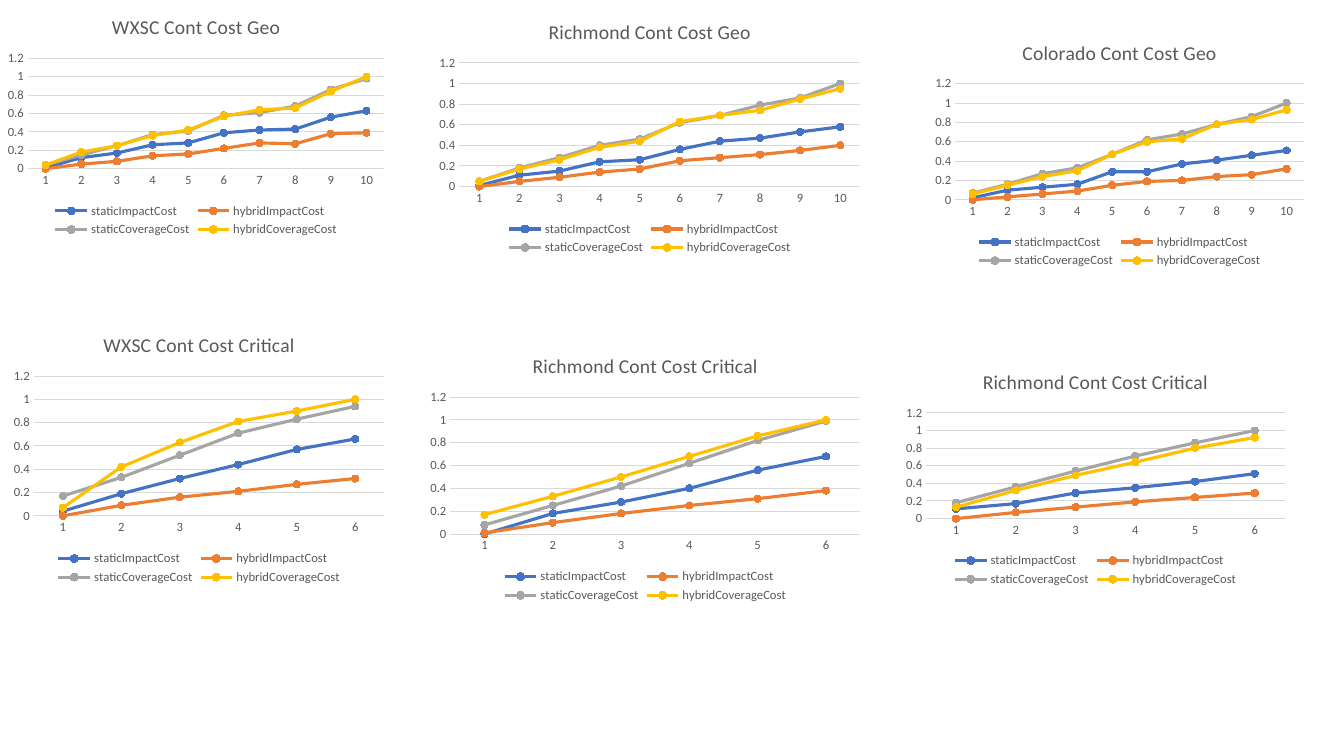
from pptx import Presentation
from pptx.chart.data import CategoryChartData
from pptx.dml.color import RGBColor
from pptx.enum import chart as ch
from pptx.util import Inches, Pt

BLACK = RGBColor(0x00, 0x00, 0x00)
GRAY_TEXT = RGBColor(0x59, 0x59, 0x59)
GRID_GRAY = RGBColor(0xD9, 0xD9, 0xD9)
BLUE = RGBColor(0x44, 0x72, 0xC4)
ORANGE = RGBColor(0xED, 0x7D, 0x31)
GRAY = RGBColor(0xA5, 0xA5, 0xA5)
GOLD = RGBColor(0xFF, 0xC0, 0x00)

SERIES = [
    ("staticImpactCost", BLUE),
    ("hybridImpactCost", ORANGE),
    ("staticCoverageCost", GRAY),
    ("hybridCoverageCost", GOLD),
]

# Title, (left, top, width, height), one row of values per series
COST_CHARTS = [
    ("WXSC Cont Cost Geo", (0, 0, 3.89, 2.39), [
        [0.01, 0.12, 0.17, 0.26, 0.28, 0.39, 0.42, 0.43, 0.56, 0.63],
        [0, 0.05, 0.08, 0.14, 0.16, 0.22, 0.28, 0.27, 0.38, 0.39],
        [0.04, 0.15, 0.25, 0.37, 0.41, 0.58, 0.61, 0.68, 0.86, 0.98],
        [0.04, 0.18, 0.25, 0.36, 0.42, 0.57, 0.64, 0.66, 0.84, 1],
    ]),
    ("WXSC Cont Cost Critical", (0.06, 3.14, 3.83, 2.7), [
        [0.04, 0.19, 0.32, 0.44, 0.57, 0.66],
        [0, 0.09, 0.16, 0.21, 0.27, 0.32],
        [0.17, 0.33, 0.52, 0.71, 0.83, 0.94],
        [0.07, 0.42, 0.63, 0.81, 0.9, 1],
    ]),
    ("Richmond Cont Cost Geo", (4.27, 0.04, 4.35, 2.53), [
        [0.01, 0.11, 0.15, 0.24, 0.26, 0.36, 0.44, 0.47, 0.53, 0.58],
        [0, 0.05, 0.09, 0.14, 0.17, 0.25, 0.28, 0.31, 0.35, 0.4],
        [0.05, 0.18, 0.28, 0.4, 0.46, 0.62, 0.69, 0.79, 0.86, 1],
        [0.05, 0.17, 0.26, 0.38, 0.44, 0.63, 0.69, 0.74, 0.85, 0.95],
    ]),
    ("Richmond Cont Cost Critical", (4.18, 3.35, 4.44, 2.67), [
        [0, 0.18, 0.28, 0.4, 0.56, 0.68],
        [0.01, 0.1, 0.18, 0.25, 0.31, 0.38],
        [0.08, 0.25, 0.42, 0.62, 0.82, 0.99],
        [0.17, 0.33, 0.5, 0.68, 0.86, 1],
    ]),
    ("Richmond Cont Cost Critical", (8.91, 3.52, 3.91, 2.34), [
        [0.11, 0.17, 0.29, 0.35, 0.42, 0.51],
        [0, 0.07, 0.13, 0.19, 0.24, 0.29],
        [0.18, 0.36, 0.54, 0.71, 0.86, 1],
        [0.13, 0.32, 0.49, 0.64, 0.8, 0.92],
    ]),
    ("Colorado Cont Cost Geo", (9.2, 0.25, 3.81, 2.45), [
        [0.02, 0.1, 0.13, 0.16, 0.29, 0.29, 0.37, 0.41, 0.46, 0.51],
        [0, 0.03, 0.06, 0.09, 0.15, 0.19, 0.2, 0.24, 0.26, 0.32],
        [0.07, 0.16, 0.27, 0.33, 0.47, 0.62, 0.68, 0.78, 0.86, 1],
        [0.06, 0.15, 0.24, 0.3, 0.47, 0.6, 0.63, 0.78, 0.83, 0.93],
    ]),
]


def set_attrs(obj, **values):
    for name, value in values.items():
        setattr(obj, name, value)


def format_font(font, size, color=GRAY_TEXT):
    set_attrs(font, name="Calibri", size=Pt(size), bold=False)
    font.color.rgb = color


def format_line(line, color, width):
    line.color.rgb = color
    line.width = Pt(width)


def format_title(chart, title):
    chart.has_title = True
    tf = chart.chart_title.text_frame
    tf.text = title
    format_font(tf.paragraphs[0].runs[0].font, 14)
    chart.chart_title.include_in_layout = False


def format_axes(chart):
    cat, val = chart.category_axis, chart.value_axis
    for axis in (cat, val):
        set_attrs(axis, major_tick_mark=ch.XL_TICK_MARK.NONE,
                  minor_tick_mark=ch.XL_TICK_MARK.NONE)
        format_font(axis.tick_labels.font, 9)
    format_line(cat.format.line, GRID_GRAY, 0.75)
    set_attrs(val, minimum_scale=0, maximum_scale=1.2, major_unit=0.2,
              has_major_gridlines=True)
    format_line(val.major_gridlines.format.line, GRID_GRAY, 0.75)
    val.format.line.fill.background()


def format_legend(chart):
    chart.has_legend = True
    set_attrs(chart.legend, position=ch.XL_LEGEND_POSITION.BOTTOM,
              include_in_layout=False)
    format_font(chart.legend.font, 9)


def format_series(series, color):
    series.smooth = False
    format_line(series.format.line, color, 2.25)
    marker = series.marker
    set_attrs(marker, style=ch.XL_MARKER_STYLE.CIRCLE, size=5)
    marker.format.fill.solid()
    marker.format.fill.fore_color.rgb = color
    format_line(marker.format.line, color, 0.75)


def add_cost_chart(slide, title, box, rows):
    data = CategoryChartData()
    data.categories = [str(i + 1) for i in range(len(rows[0]))]
    for (name, _), values in zip(SERIES, rows):
        data.add_series(name, values)
    chart = slide.shapes.add_chart(
        ch.XL_CHART_TYPE.LINE_MARKERS, *map(Inches, box), data).chart
    format_font(chart.font, 10, BLACK)
    format_title(chart, title)
    format_axes(chart)
    format_legend(chart)
    plot = chart.plots[0]
    plot.vary_by_categories = False
    for series, (_, color) in zip(plot.series, SERIES):
        format_series(series, color)


def main():
    prs = Presentation()
    set_attrs(prs, slide_width=Inches(13.33), slide_height=Inches(7.5))
    slide = prs.slides.add_slide(prs.slide_layouts[6])
    for title, box, rows in COST_CHARTS:
        add_cost_chart(slide, title, box, rows)
    prs.save("out.pptx")


if __name__ == "__main__":
    main()
